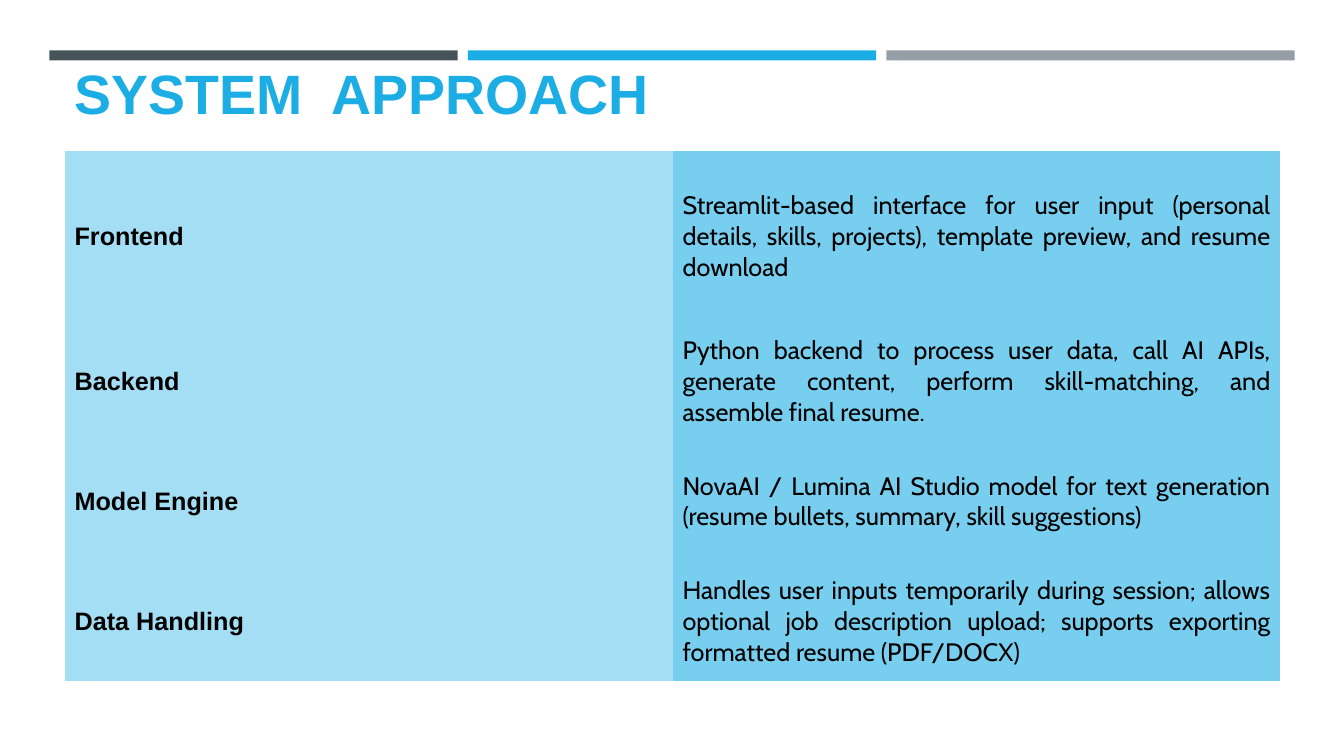
from dataclasses import dataclass

from pptx import Presentation
from pptx.dml.color import RGBColor
from pptx.enum.shapes import MSO_SHAPE
from pptx.enum.text import MSO_ANCHOR, PP_ALIGN
from pptx.oxml.ns import qn
from pptx.util import Inches, Pt

PLAIN = "{2D5ABB26-0587-4C30-8999-92F81FD0307C}"  # table style: no fill, no grid


@dataclass(frozen=True)
class Theme:
    slate: str = "465359"
    blue: str = "1CADE4"
    gray: str = "969FA7"
    pale: str = "A4DEF4"
    sky: str = "77CEEF"
    ink: str = "000000"
    head: str = "Arial"
    body: str = "Cabin"
    big: float = 39.6
    text: float = 18


class Deck:
    def __init__(self, theme):
        self.theme = theme
        self.file = Presentation()
        self.file.slide_width = Inches(13.33)
        self.file.slide_height = Inches(7.5)
        self.slide = self.file.slides.add_slide(self.file.slide_layouts[5])

    def run(self, para, text, face, size, color, bold):
        run = para.add_run()
        run.text = text
        font = run.font
        font.name, font.size, font.bold = face, Pt(size), bold
        font.color.rgb = RGBColor.from_string(color)

    def bar(self, left, color):
        bar = self.slide.shapes.add_shape(
            MSO_SHAPE.RECTANGLE, Inches(left), Inches(0.5), Inches(4.05), Inches(0.1))
        bar.shadow.inherit = False
        bar.fill.solid()
        bar.fill.fore_color.rgb = RGBColor.from_string(color)
        bar.line.fill.background()

    def title(self, text):
        box = self.slide.shapes.title
        box.left, box.top = Inches(0.64), Inches(0.72)
        box.width, box.height = Inches(12.06), Inches(0.58)
        frame = box.text_frame
        frame.word_wrap = True
        frame.vertical_anchor = MSO_ANCHOR.BOTTOM
        para = frame.paragraphs[0]
        para.alignment = PP_ALIGN.LEFT
        para.line_spacing = 0.9
        look = self.theme
        self.run(para, text, look.head, look.big, look.blue, True)

    def cell(self, cell, text, face, fill, bold):
        cell.fill.solid()
        cell.fill.fore_color.rgb = RGBColor.from_string(fill)
        cell.vertical_anchor = MSO_ANCHOR.MIDDLE
        para = cell.text_frame.paragraphs[0]
        para.alignment = PP_ALIGN.JUSTIFY
        self.run(para, text, face, self.theme.text, self.theme.ink, bold)

    def table(self, rows, highs):
        frame = self.slide.shapes.add_table(
            len(rows), 2, Inches(0.64), Inches(1.5), Inches(12.06), Inches(sum(highs)))
        table = frame.table
        table.first_row = table.horz_banding = False
        frame._element.find(".//" + qn("a:tableStyleId")).text = PLAIN
        look = self.theme
        for i, (name, note) in enumerate(rows):
            table.rows[i].height = Inches(highs[i])
            self.cell(table.cell(i, 0), name, look.head, look.pale, True)
            self.cell(table.cell(i, 1), note, look.body, look.sky, False)


def main():
    theme = Theme()
    deck = Deck(theme)

    # Top bars
    for i, color in enumerate((theme.slate, theme.blue, theme.gray)):
        deck.bar(0.49 + 4.15 * i, color)

    # Heading
    deck.title("SYSTEM  APPROACH")

    # Layers of the system
    deck.table([
        ("Frontend", "Streamlit-based interface for user input (personal details, "
         "skills, projects), template preview, and resume download"),
        ("Backend", "Python backend to process user data, call AI APIs, generate "
         "content, perform skill-matching, and assemble final resume."),
        ("Model Engine", "NovaAI / Lumina AI Studio model for text generation "
         "(resume bullets, summary, skill suggestions)"),
        ("Data Handling", "Handles user inputs temporarily during session; allows "
         "optional job description upload; supports exporting formatted resume "
         "(PDF/DOCX)"),
    ], [1.69, 1.19, 1.19, 1.19])

    deck.file.save("out.pptx")


if __name__ == "__main__":
    main()
